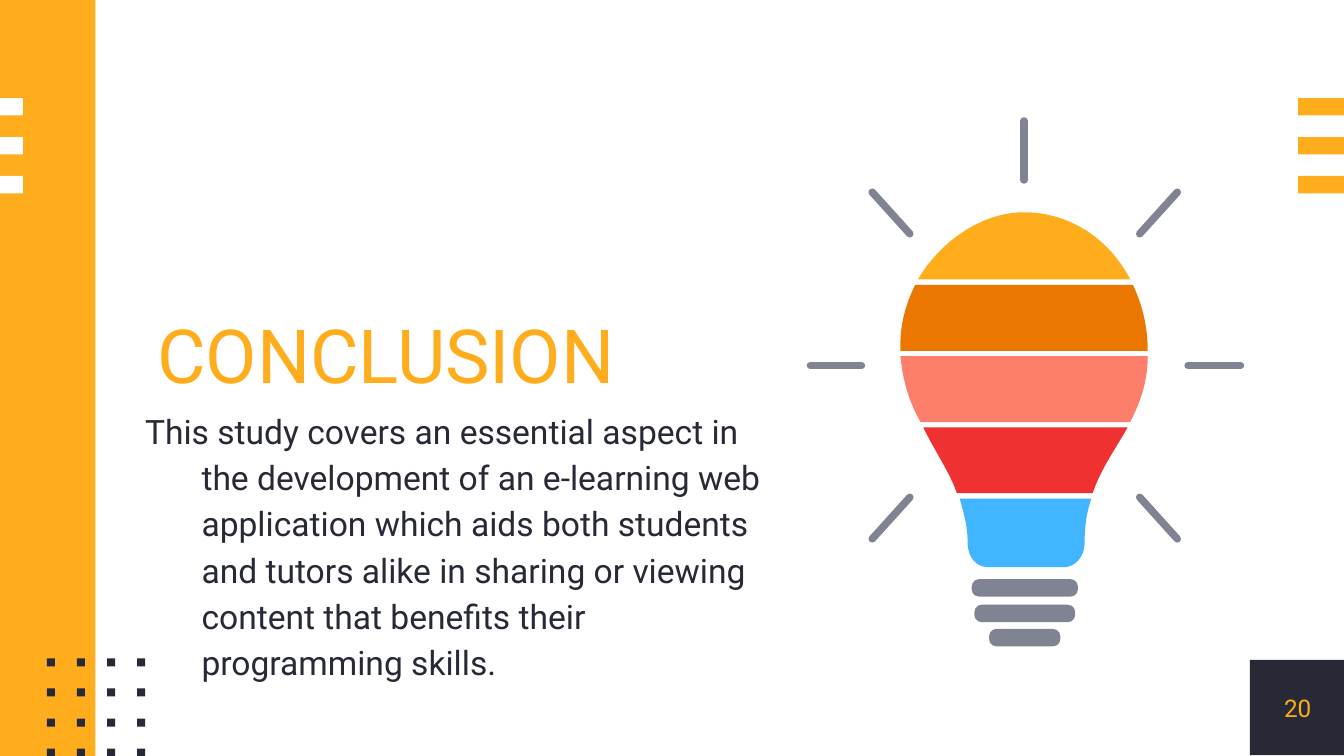
from dataclasses import dataclass

from lxml import etree
from pptx import Presentation
from pptx.dml.color import RGBColor
from pptx.enum.shapes import MSO_CONNECTOR, MSO_SHAPE
from pptx.enum.text import MSO_ANCHOR, PP_ALIGN
from pptx.oxml.ns import qn
from pptx.slide import Slide
from pptx.util import Inches, Pt

RECT = MSO_SHAPE.RECTANGLE
ROUNDED = MSO_SHAPE.ROUNDED_RECTANGLE
STRAIGHT = MSO_CONNECTOR.STRAIGHT
TOP, MIDDLE, BOTTOM = MSO_ANCHOR.TOP, MSO_ANCHOR.MIDDLE, MSO_ANCHOR.BOTTOM
LEFT, CENTER = PP_ALIGN.LEFT, PP_ALIGN.CENTER

SLIDE_WIDTH = 10
SLIDE_HEIGHT = SLIDE_WIDTH * 9 / 16

Point = tuple[float, float]


@dataclass(frozen=True)
class Theme:
    font: str = "Roboto"
    amber: str = "FFAD1D"
    orange: str = "EB7700"
    salmon: str = "FD7E6B"
    red: str = "F03131"
    blue: str = "41B5FF"
    grey: str = "808392"
    dark: str = "272A36"
    white: str = "FFFFFF"
    title_size: float = 40
    body_size: float = 18
    number_size: float = 13
    ray_width: float = 4


THEME = Theme()


@dataclass(frozen=True)
class Box:
    left: float
    top: float
    width: float
    height: float


@dataclass(frozen=True)
class Label:
    box: Box
    text: str
    size: float
    color: str
    anchor: MSO_ANCHOR
    align: PP_ALIGN = LEFT
    line_spacing: float = 1.0
    space_before: float = 0
    margin: float = 0
    hanging: float = 0


@dataclass(frozen=True)
class Band:
    color: str
    start: Point
    segments: list[tuple[Point, ...]]


@dataclass(frozen=True)
class Ray:
    start: Point
    end: Point


BANDS = [
    Band(THEME.red, (8.39, 3.18), [
        ((6.87, 3.18),),
        ((6.95, 3.35), (7.06, 3.5), (7.12, 3.67)),
        ((8.13, 3.67),),
        ((8.19, 3.49), (8.3, 3.34), (8.39, 3.18))]),
    Band(THEME.amber, (8.41, 2.08), [
        ((8.25, 1.77), (7.95, 1.58), (7.62, 1.58)),
        ((7.31, 1.58), (7, 1.79), (6.83, 2.08))]),
    Band(THEME.orange, (8.54, 2.61), [
        ((8.54, 2.43), (8.5, 2.27), (8.43, 2.12)),
        ((6.81, 2.12),),
        ((6.74, 2.26), (6.7, 2.41), (6.7, 2.56)),
        ((6.7, 2.61),)]),
    Band(THEME.salmon, (6.7, 2.65), [
        ((6.72, 2.85), (6.77, 3), (6.85, 3.14)),
        ((8.41, 3.14),),
        ((8.48, 3), (8.54, 2.85), (8.54, 2.65))]),
    Band(THEME.blue, (7.14, 3.71), [
        ((7.17, 3.81), (7.2, 3.92), (7.2, 4.04)),
        ((7.2, 4.14), (7.26, 4.22), (7.35, 4.22)),
        ((7.92, 4.22),),
        ((8, 4.22), (8.07, 4.14), (8.07, 4.04)),
        ((8.07, 3.9), (8.09, 3.8), (8.12, 3.71))]),
]

RAYS = [
    Ray((8.76, 1.43), (8.48, 1.74)),
    Ray((8.84, 2.72), (9.23, 2.72)),
    Ray((8.76, 4.01), (8.48, 3.7)),
    Ray((6.49, 4.01), (6.77, 3.7)),
    Ray((6.03, 2.72), (6.41, 2.72)),
    Ray((6.49, 1.43), (6.77, 1.74)),
    Ray((7.62, 0.9), (7.62, 1.34)),
]

SCREW_THREADS = [
    Box(7.23, 4.31, 0.79, 0.13),
    Box(7.25, 4.5, 0.75, 0.13),
    Box(7.36, 4.68, 0.53, 0.13),
]

NUMBER_BOX = Box(9.3, 4.91, 0.71, 0.71)

LABELS = [
    Label(Box(1.17, 1.68, 4.5, 1.27), "CONCLUSION", THEME.title_size, THEME.amber,
          BOTTOM, line_spacing=0.7),
    Label(Box(1, 3.01, 4.67, 0.86),
          "This study covers an essential aspect in the development of an e-learning "
          "web application which aids both students and tutors alike in sharing or "
          "viewing content that benefits their programming skills.",
          THEME.body_size, THEME.dark, TOP, line_spacing=1.15, space_before=6,
          margin=0.5, hanging=0.42),
    Label(NUMBER_BOX, "20", THEME.number_size, THEME.amber, MIDDLE, CENTER),
]


def paint(shape, color: str) -> None:
    shape.shadow.inherit = False
    shape.fill.solid()
    shape.fill.fore_color.rgb = RGBColor.from_string(color)
    shape.line.fill.background()


def draw_box(slide: Slide, box: Box, color: str, preset: MSO_SHAPE = RECT) -> None:
    shape = slide.shapes.add_shape(preset, Inches(box.left), Inches(box.top),
                                   Inches(box.width), Inches(box.height))
    paint(shape, color)
    if preset == ROUNDED:
        shape.adjustments[0] = 0.42


def curve(start: Point, a: Point, b: Point, end: Point, steps: int = 24) -> list[Point]:
    def blend(t: float, axis: int) -> float:
        u = 1 - t
        return (u**3 * start[axis] + 3 * u * u * t * a[axis]
                + 3 * u * t * t * b[axis] + t**3 * end[axis])

    return [(blend(i / steps, 0), blend(i / steps, 1)) for i in range(1, steps + 1)]


def draw_band(slide: Slide, band: Band) -> None:
    outline = [band.start]
    for segment in band.segments:
        outline += curve(outline[-1], *segment) if len(segment) == 3 else segment
    corners = [(Inches(x), Inches(y)) for x, y in outline]
    builder = slide.shapes.build_freeform(*corners[0])
    builder.add_line_segments(corners[1:], close=True)
    paint(builder.convert_to_shape(), band.color)


def draw_ray(slide: Slide, ray: Ray) -> None:
    connector = slide.shapes.add_connector(
        STRAIGHT, *(Inches(value) for value in ray.start + ray.end))
    connector.line.width = Pt(THEME.ray_width)
    connector.line.color.rgb = RGBColor.from_string(THEME.grey)
    properties = connector._element.spPr
    properties.find(qn("a:ln")).set("cap", "rnd")
    etree.SubElement(properties, qn("a:effectLst"))


def draw_label(slide: Slide, label: Label) -> None:
    box = label.box
    frame = slide.shapes.add_textbox(Inches(box.left), Inches(box.top),
                                     Inches(box.width), Inches(box.height)).text_frame
    frame.word_wrap = True
    frame.vertical_anchor = label.anchor
    frame.margin_left = frame.margin_right = frame.margin_top = frame.margin_bottom = 0
    paragraph = frame.paragraphs[0]
    paragraph.alignment = label.align
    paragraph.line_spacing = label.line_spacing
    paragraph.space_before = Pt(label.space_before)
    indents = paragraph._p.get_or_add_pPr()
    indents.set("marL", str(Inches(label.margin)))
    indents.set("indent", str(Inches(-label.hanging)))
    run = paragraph.add_run()
    run.text = label.text
    run.font.name = THEME.font
    run.font.size = Pt(label.size)
    run.font.color.rgb = RGBColor.from_string(label.color)


def draw_decoration(slide: Slide) -> None:
    draw_box(slide, NUMBER_BOX, THEME.dark)
    draw_box(slide, Box(0, 0, 0.71, SLIDE_HEIGHT), THEME.amber)
    for row in range(3):
        top = 0.73 + row * 0.29
        draw_box(slide, Box(0, top, 0.17, 0.13), THEME.white)
        draw_box(slide, Box(9.66, top, 0.34, 0.13), THEME.amber)
    pitch = 0.67 / 3
    for row in range(4):
        for column in range(4):
            draw_box(slide, Box(0.35 + column * pitch, 4.9 + row * pitch, 0.06, 0.06),
                     THEME.dark)


def main() -> None:
    deck = Presentation()
    deck.slide_width, deck.slide_height = Inches(SLIDE_WIDTH), Inches(SLIDE_HEIGHT)
    slide = deck.slides.add_slide(deck.slide_layouts[6])
    draw_decoration(slide)
    for label in LABELS:
        draw_label(slide, label)
    for band in BANDS:
        draw_band(slide, band)
    for ray in RAYS:
        draw_ray(slide, ray)
    for thread in SCREW_THREADS:
        draw_box(slide, thread, THEME.grey, ROUNDED)
    deck.save("out.pptx")


if __name__ == "__main__":
    main()
